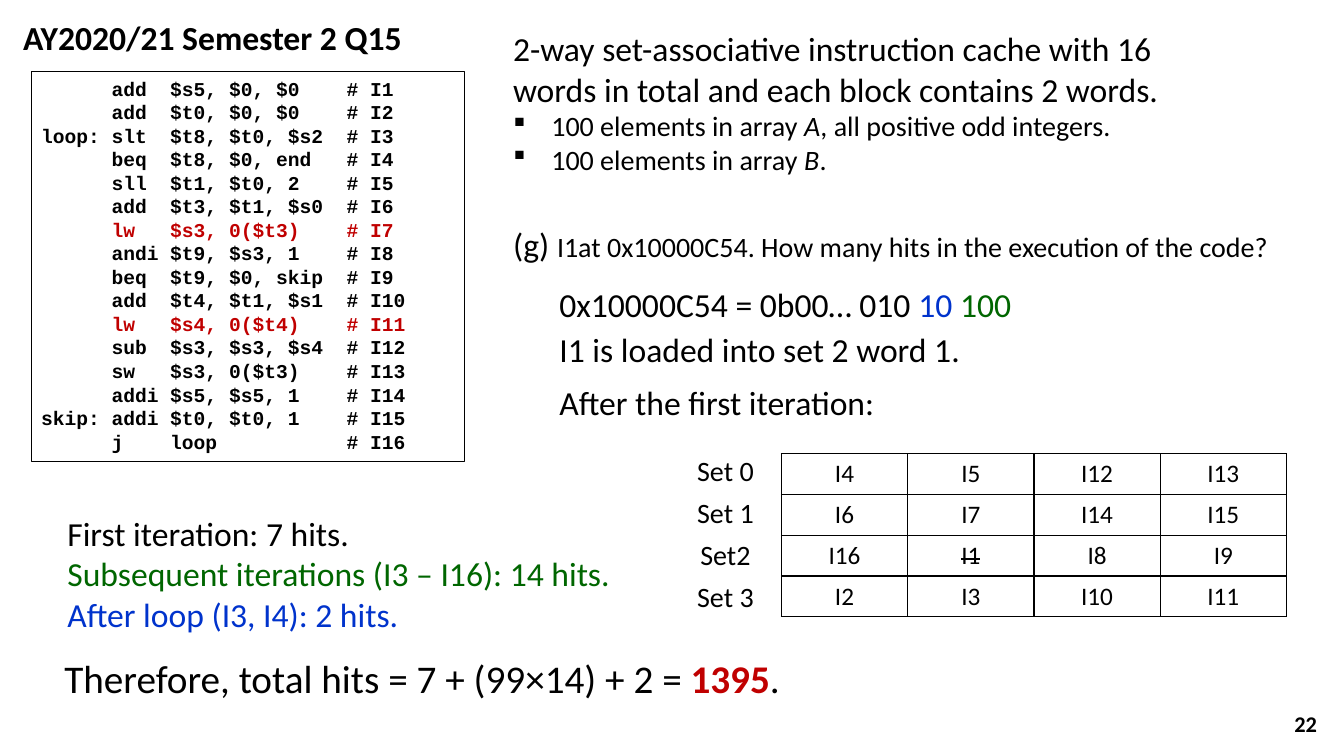
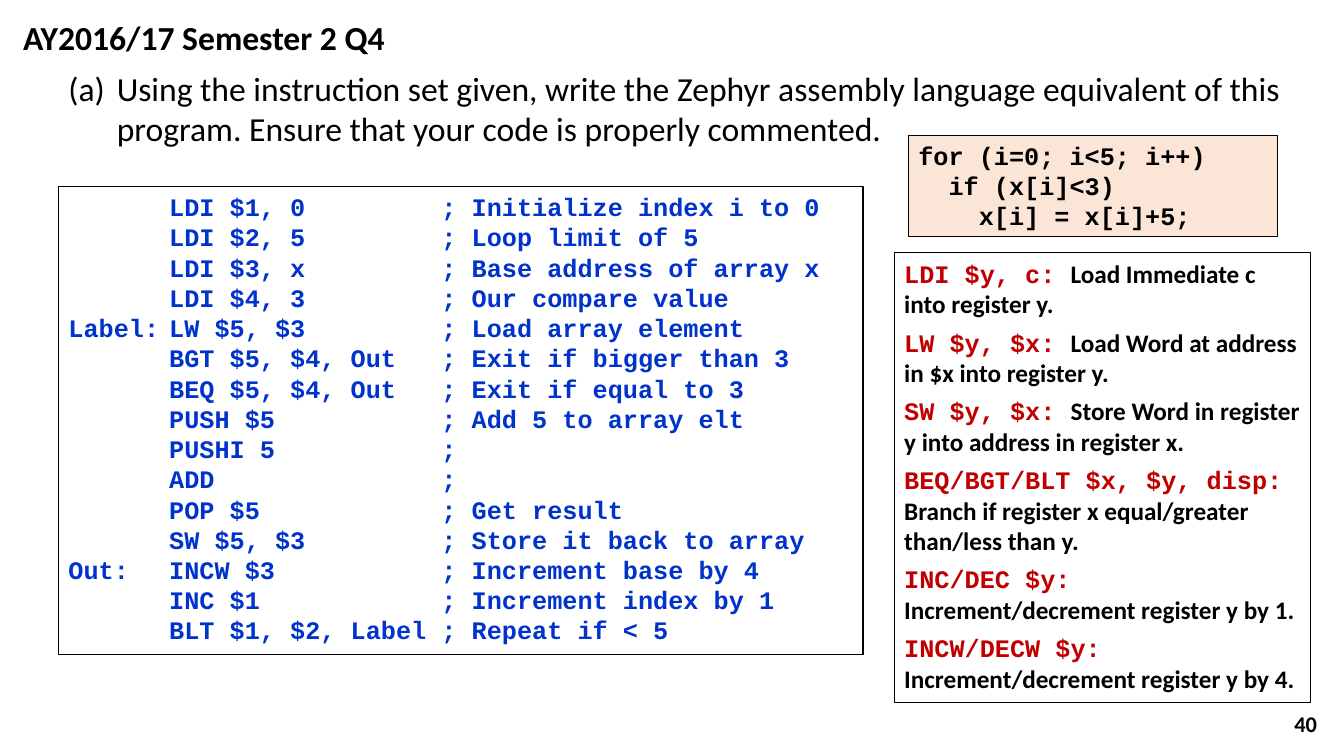
"""Build two tutorial slides: counting cache hits and writing assembly code."""
from dataclasses import dataclass

from lxml.etree import SubElement
from pptx import Presentation
from pptx.dml.color import RGBColor
from pptx.enum.shapes import MSO_SHAPE
from pptx.enum.text import MSO_ANCHOR, PP_ALIGN
from pptx.oxml import parse_xml
from pptx.oxml.ns import nsdecls, qn
from pptx.util import Inches, Pt


@dataclass(frozen=True)
class Theme:
    body: str = "Calibri"
    code: str = "Courier New"
    symbols: str = "Wingdings"
    ink: str = "000000"
    red: str = "C00000"
    blue: str = "0033CC"
    green: str = "006600"
    peach: str = "FBE5D6"
    answer: int = 28
    main: int = 24
    detail: int = 20
    small: int = 18
    footer: int = 16
    listing: int = 14
    frame: float = 0.75
    rule: float = 1
    divider: float = 2.25


theme = Theme()


def add_box(page, area, framed=False, fill=None):
    area = [Inches(length) for length in area]
    if framed:
        box = page.shapes.add_shape(MSO_SHAPE.RECTANGLE, *area)
        box.shadow.inherit = False
        box.line.color.rgb = RGBColor.from_string(theme.ink)
        box.line.width = Pt(theme.frame)
        if fill:
            box.fill.solid()
            box.fill.fore_color.rgb = RGBColor.from_string(fill)
        else:
            box.fill.background()
    else:
        box = page.shapes.add_textbox(*area)
    frame = box.text_frame
    frame.word_wrap = True
    frame.vertical_anchor = MSO_ANCHOR.TOP
    return frame


def add_line(frame, *spans, size=theme.main, font=theme.body, color=theme.ink, bold=False,
             align=PP_ALIGN.LEFT, after=0, left=0, hanging=0, bullet=None, tabs=()):
    para = frame.add_paragraph() if frame.text else frame.paragraphs[0]
    para.alignment = align
    para.space_after = Pt(after)
    properties = para._p.get_or_add_pPr()
    if left:
        properties.set("marL", str(Inches(left)))
    if hanging:
        properties.set("indent", str(-Inches(hanging)))
    if bullet:
        SubElement(properties, qn("a:buFont"), typeface=theme.symbols, charset="2")
        SubElement(properties, qn("a:buChar"), char=bullet)
    if tabs:
        stops = SubElement(properties, qn("a:tabLst"))
        for stop in tabs:
            SubElement(stops, qn("a:tab"), pos=str(Inches(stop)), algn="l")
    for text, changes in spans:
        style = {"size": size, "font": font, "color": color, "bold": bold, **changes}
        span = para.add_run()
        span.text = text
        span.font.size = Pt(style["size"])
        span.font.name = style["font"]
        span.font.color.rgb = RGBColor.from_string(style["color"])
        span.font.bold = style["bold"]
        span.font.italic = style.get("italic", False)
        if style.get("strike"):
            span._r.get_or_add_rPr().set("strike", "sngStrike")


deck = Presentation()
deck.slide_width = Inches(13.33)
deck.slide_height = Inches(7.5)

pages = []
for title, number in [("AY2020/21 Semester 2 Q15", "22"), ("AY2016/17 Semester 2 Q4", "40")]:
    page = deck.slides.add_slide(deck.slide_layouts[6])
    footer = add_box(page, (10.16, 6.98, 3, 0.4))
    footer.vertical_anchor = MSO_ANCHOR.MIDDLE
    add_line(footer, (number, {}), size=theme.footer, bold=True, align=PP_ALIGN.RIGHT)
    add_line(add_box(page, (0.13, 0.12, 4.08, 0.5)), (title, {}), bold=True)
    pages.append(page)
cache_page, assembly_page = pages

premise = add_box(cache_page, (4.99, 0.23, 7.37, 1.58))
add_line(premise, ("2-way set-associative instruction cache with 16 words in total "
                   "and each block contains 2 words.", {}))
for array, ending in [("A", ", all positive odd integers."), ("B", ".")]:
    add_line(premise, ("100 elements in array ", {}), (array, {"italic": True}), (ending, {}),
             size=theme.detail, left=0.38, hanging=0.38, bullet="§")

mips_code = [
    ("", "add", "$s5, $0, $0"),
    ("", "add", "$t0, $0, $0"),
    ("loop:", "slt", "$t8, $t0, $s2"),
    ("", "beq", "$t8, $0, end"),
    ("", "sll", "$t1, $t0, 2"),
    ("", "add", "$t3, $t1, $s0"),
    ("", "lw", "$s3, 0($t3)"),
    ("", "andi", "$t9, $s3, 1"),
    ("", "beq", "$t9, $0, skip"),
    ("", "add", "$t4, $t1, $s1"),
    ("", "lw", "$s4, 0($t4)"),
    ("", "sub", "$s3, $s3, $s4"),
    ("", "sw", "$s3, 0($t3)"),
    ("", "addi", "$s5, $s5, 1"),
    ("skip:", "addi", "$t0, $t0, 1"),
    ("", "j", "loop"),
]
mips_box = add_box(cache_page, (0.31, 0.71, 4.3, 3.87), framed=True)
for number, (label, operation, operands) in enumerate(mips_code, 1):
    add_line(mips_box, (f"{label}\t{operation}\t{operands}\t# I{number}", {}),
             size=theme.listing, font=theme.code, bold=True, tabs=(0.7, 1.28, 3.03),
             color=theme.red if operation == "lw" else theme.ink)

add_line(add_box(cache_page, (4.99, 2.17, 8.04, 0.5)), ("(g) ", {}),
         ("I1at 0x10000C54. How many hits in the execution of the code?", {"size": theme.detail}),
         left=0.48, hanging=0.48)

steps = [
    (2.77, [("0x10000C54 = 0b00… 010 ", {}), ("10 ", {"color": theme.blue}),
            ("100", {"color": theme.green})]),
    (3.21, [("I1 is loaded into set 2 word 1.", {})]),
    (3.74, [("After the first iteration:", {})]),
]
for top, spans in steps:
    add_line(add_box(cache_page, (5.45, top, 7.4, 0.5)), *spans)

cache_sets = [
    ("I4", "I5", "I12", "I13"),
    ("I6", "I7", "I14", "I15"),
    ("I16", "I1", "I8", "I9"),
    ("I2", "I3", "I10", "I11"),
]
cache_table = cache_page.shapes.add_table(
    4, 4, Inches(7.75), Inches(4.5), Inches(5.01), Inches(1.62)).table
cache_table.first_row = False
cache_table.horz_banding = False
for row_index, words in enumerate(cache_sets):
    for column_index, word in enumerate(words):
        cell = cache_table.cell(row_index, column_index)
        cell.fill.background()
        add_line(cell.text_frame, (word, {"strike": word == "I1"}),
                 size=theme.small, align=PP_ALIGN.CENTER)
        widths = {"lnL": theme.divider if column_index == 2 else theme.rule,
                  "lnR": theme.divider if column_index == 1 else theme.rule,
                  "lnT": theme.rule, "lnB": theme.rule}
        for position, (side, width) in enumerate(widths.items()):
            cell._tc.get_or_add_tcPr().insert(position, parse_xml(
                f'<a:{side} {nsdecls("a")} w="{Pt(width)}"><a:solidFill>'
                f'<a:srgbClr val="{theme.ink}"/></a:solidFill></a:{side}>'))

set_labels = add_box(cache_page, (6.64, 4.45, 1.11, 1.7))
for label in ("Set 0", "Set 1", "Set2", "Set 3"):
    add_line(set_labels, (label, {}), size=theme.detail, align=PP_ALIGN.CENTER, after=6)

hit_counts = add_box(cache_page, (0.57, 5.04, 5.74, 1.31))
for text, color in [("First iteration: 7 hits.", theme.ink),
                    ("Subsequent iterations (I3 – I16): 14 hits.", theme.green),
                    ("After loop (I3, I4): 2 hits.", theme.blue)]:
    add_line(hit_counts, (text, {}), color=color)

add_line(add_box(cache_page, (0.54, 6.44, 7.78, 0.57)),
         ("Therefore, total hits = 7 + (99×14) + 2 = ", {}),
         ("1395", {"color": theme.red, "bold": True}), (".", {}), size=theme.answer)

add_line(add_box(assembly_page, (0.58, 0.62, 12.22, 0.91)),
         ("(a) \tUsing the instruction set given, write the Zephyr assembly language equivalent "
          "of this program. Ensure that your code is properly commented.", {}),
         left=0.48, hanging=0.48, after=6)

assembly_code = [
    ("", "LDI $1, 0", "; Initialize index i to 0"),
    ("", "LDI $2, 5", "; Loop limit of 5"),
    ("", "LDI $3, x", "; Base address of array x"),
    ("", "LDI $4, 3", "; Our compare value"),
    ("Label:", "LW $5, $3", "; Load array element"),
    ("", "BGT $5, $4, Out", "; Exit if bigger than 3"),
    ("", "BEQ $5, $4, Out", "; Exit if equal to 3"),
    ("", "PUSH $5", "; Add 5 to array elt"),
    ("", "PUSHI 5", ";"),
    ("", "ADD", ";"),
    ("", "POP $5", "; Get result"),
    ("", "SW $5, $3", "; Store it back to array"),
    ("Out:", "INCW $3", "; Increment base by 4"),
    ("", "INC $1", "; Increment index by 1"),
    ("", "BLT $1, $2, Label", "; Repeat if < 5"),
]
assembly_box = add_box(assembly_page, (0.58, 1.85, 7.98, 4.64), framed=True)
for fields in assembly_code:
    add_line(assembly_box, ("\t".join(fields), {}), size=theme.small, font=theme.code,
             color=theme.blue, bold=True, tabs=(1, 3.7))

program_box = add_box(assembly_page, (9.01, 1.34, 3.66, 1.01), framed=True, fill=theme.peach)
for depth, text in enumerate(["for (i=0; i<5; i++)", "if (x[i]<3)", "x[i] = x[i]+5;"]):
    add_line(program_box, (text, {}), size=theme.small, font=theme.code, bold=True,
             left=0.3 * depth)

instruction_set = [
    ("LDI $y, c: ", "Load Immediate c into register y."),
    ("LW $y, $x: ", "Load Word at address in $x into register y."),
    ("SW $y, $x: ", "Store Word in register y into address in register x."),
    ("BEQ/BGT/BLT $x, $y, disp: ", "Branch if register x equal/greater than/less than y."),
    ("INC/DEC $y: ", "Increment/decrement register y by 1."),
    ("INCW/DECW $y: ", "Increment/decrement register y by 4."),
]
instruction_box = add_box(assembly_page, (8.87, 2.51, 4.13, 4.46), framed=True)
for syntax, meaning in instruction_set:
    add_line(instruction_box, (syntax, {"font": theme.code, "color": theme.red}), (meaning, {}),
             size=theme.small, bold=True, after=6)

deck.save("out.pptx")
